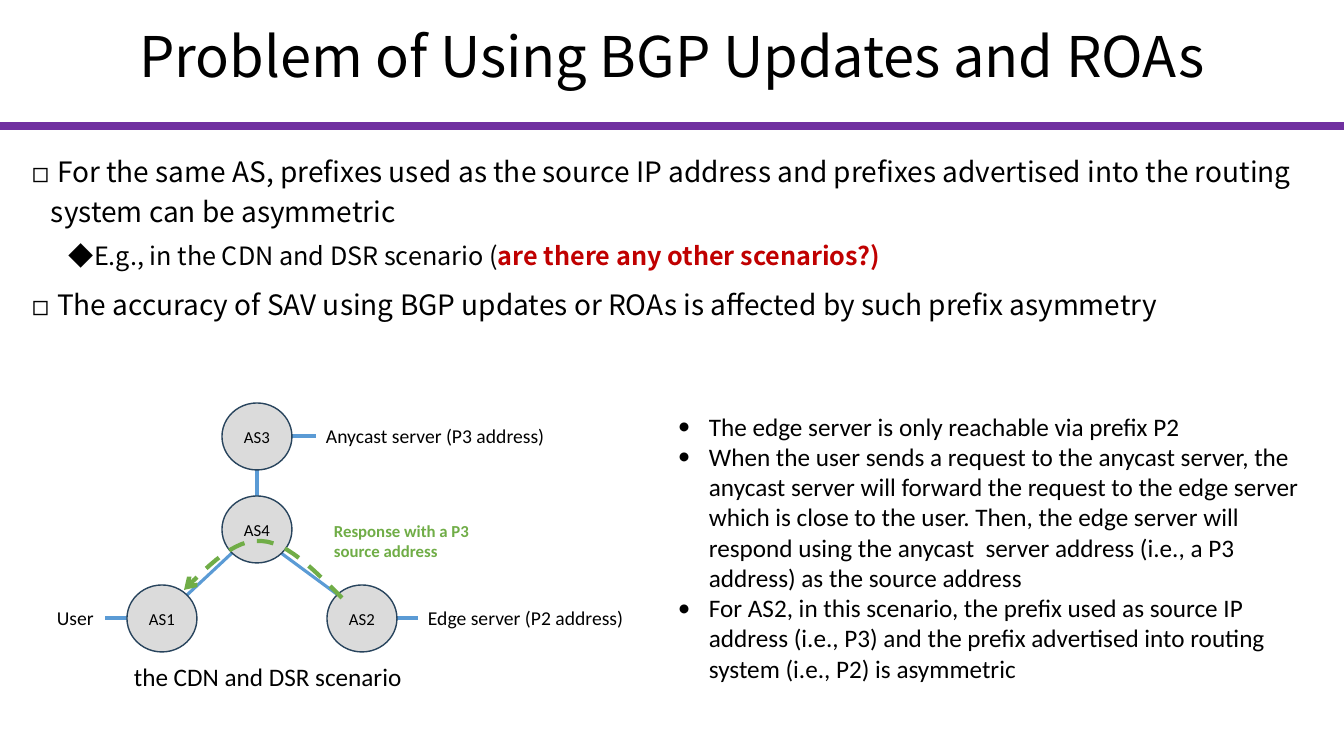
from lxml.etree import SubElement
from pptx import Presentation
from pptx.dml.color import RGBColor
from pptx.enum.dml import MSO_LINE
from pptx.enum.shapes import MSO_CONNECTOR, MSO_SHAPE
from pptx.enum.text import MSO_ANCHOR, MSO_AUTO_SIZE, PP_ALIGN
from pptx.oxml.ns import qn
from pptx.util import Pt

PX = 914400 / 100.8
BLACK = RGBColor(0x00, 0x00, 0x00)
PURPLE = RGBColor(0x70, 0x30, 0xA0)
RED = RGBColor(0xC0, 0x00, 0x00)
GREY = RGBColor(0xDB, 0xDB, 0xDB)
NAVY = RGBColor(0x28, 0x44, 0x5D)
BLUE = RGBColor(0x5B, 0x9B, 0xD5)
GREEN = RGBColor(0x70, 0xAD, 0x47)
HEADING_FONT = "Noto Sans CJK SC"
LABEL_FONT = "Calibri"


def px(*lengths):
    return [round(length * PX) for length in lengths]


def style_paragraph(para, size, font, color=BLACK, bold=False, bullet=None, margin=0, hang=0):
    """Format every run, and give the paragraph a hanging bullet if one is named."""
    for span in para.runs:
        span.font.size = Pt(size)
        span.font.name = font
        span.font.color.rgb = color
        span.font.bold = bold
    if bullet:
        properties = para._p.get_or_add_pPr()
        properties.set("marL", str(px(margin)[0]))
        properties.set("indent", str(px(-hang)[0]))
        SubElement(properties, qn("a:buFont")).set("typeface", font)
        SubElement(properties, qn("a:buChar")).set("char", bullet)


deck = Presentation()
deck.slide_width, deck.slide_height = px(1344, 756)
page = deck.slides.add_slide(deck.slide_layouts[5])

# Title
title = page.shapes.title
title.left, title.top, title.width, title.height = px(0, 0, 1344, 119)
title.text_frame.text = "Problem of Using BGP Updates and ROAs"
title.text_frame.vertical_anchor = MSO_ANCHOR.MIDDLE
para = title.text_frame.paragraphs[0]
para.alignment = PP_ALIGN.CENTER
para.line_spacing = 0.9
style_paragraph(para, 40, HEADING_FONT)

# Main points: text, emphasised ending, level, size, bullet, margin, space before
points = [
    (" For the same AS, prefixes used as the source IP address and prefixes advertised "
     "into the routing system can be asymmetric", "", 0, 20, "◻", 19, 7.5),
    ("E.g., in the CDN and DSR scenario (", "are there any other scenarios?)",
     1, 18, "◆", 56, 3.8),
    (" The accuracy of SAV using BGP updates or ROAs is affected by such prefix asymmetry",
     "", 0, 20, "◻", 19, 7.5),
]
frame = page.shapes.add_textbox(*px(22, 143, 1299, 200)).text_frame
frame.word_wrap = True
for index, (text, emphasis, level, size, bullet, margin, before) in enumerate(points):
    para = frame.paragraphs[0] if index == 0 else frame.add_paragraph()
    para.text = text
    para.level = level
    para.line_spacing = 1.2
    para.space_before = Pt(before)
    if emphasis:
        para.add_run().text = emphasis
    style_paragraph(para, size, HEADING_FONT, bullet=bullet, margin=margin, hang=19)
    if emphasis:
        para.runs[-1].font.bold = True
        para.runs[-1].font.color.rgb = RED

# Title rule and network links: start, end, colour, width
links = [
    (0, 126, 1344, 126, PURPLE, 6),
    (257, 470, 257, 496, BLUE, 2.25),
    (232, 553, 187, 595, BLUE, 2.25),
    (281, 553, 338, 595, BLUE, 2.25),
    (316, 436, 292, 436, BLUE, 2.25),
    (418, 618, 397, 618, BLUE, 2.25),
    (128, 618, 105, 618, BLUE, 2.25),
]
for *ends, color, width in links:
    link = page.shapes.add_connector(MSO_CONNECTOR.STRAIGHT, *px(*ends))
    link.line.color.rgb = color
    link.line.width = Pt(width)
    SubElement(link._element.spPr, qn("a:effectLst"))

# Autonomous systems
for name, left, top in [("AS3", 222, 403), ("AS1", 127, 585), ("AS4", 222, 496), ("AS2", 327, 585)]:
    node = page.shapes.add_shape(MSO_SHAPE.OVAL, *px(left, top, 70, 67))
    node.shadow.inherit = False
    node.fill.solid()
    node.fill.fore_color.rgb = GREY
    node.line.color.rgb = NAVY
    node.line.width = Pt(1)
    node.text_frame.text = name
    node.text_frame.word_wrap = False
    node.text_frame.vertical_anchor = MSO_ANCHOR.MIDDLE
    node.text_frame.paragraphs[0].alignment = PP_ALIGN.CENTER
    style_paragraph(node.text_frame.paragraphs[0], 12, LABEL_FONT)

# Labels and explanation: place, lines, size, colour, bold, wrap, bullet
explanation = [
    "The edge server is only reachable via prefix P2",
    "When the user sends a request to the anycast server, the anycast server will forward "
    "the request to the edge server which is close to the user. Then, the edge server will "
    "respond using the anycast  server address (i.e., a P3 address) as the source address",
    "For AS2, in this scenario, the prefix used as source IP address (i.e., P3) and the "
    "prefix advertised into routing system (i.e., P2) is asymmetric",
]
labels = [
    ((47, 601, 57, 34), ["User"], 14, BLACK, False, False, None),
    ((316, 419, 241, 34), ["Anycast server (P3 address)"], 14, BLACK, False, False, None),
    ((418, 601, 218, 34), ["Edge server (P2 address)"], 14, BLACK, False, False, None),
    ((124, 656, 289, 40), ["the CDN and DSR scenario"], 18, BLACK, False, True, None),
    ((668, 406, 657, 285), explanation, 18, BLACK, False, True, "•"),
    ((324, 516, 171, 50), ["Response with a P3 source address"], 12, GREEN, True, True, None),
]
for place, lines, size, color, bold, wrap, bullet in labels:
    frame = page.shapes.add_textbox(*px(*place)).text_frame
    frame.word_wrap = wrap
    frame.auto_size = MSO_AUTO_SIZE.SHAPE_TO_FIT_TEXT
    frame.text = "\n".join(lines)
    for para in frame.paragraphs:
        style_paragraph(para, size, LABEL_FONT, color, bold, bullet, margin=31, hang=31)

# Response route from AS2 to AS1, drawn along two Bezier curves
curves = [
    [(342, 598), (314, 570), (287, 542), (261, 541)],
    [(261, 541), (235, 539), (210, 564), (184, 590)],
]
STEPS = 12
route_points = []
for curve in curves:
    for step in range(1, STEPS + 1):
        t = step / STEPS
        weights = ((1 - t) ** 3, 3 * t * (1 - t) ** 2, 3 * t ** 2 * (1 - t), t ** 3)
        route_points.append(px(*(sum(w * v for w, v in zip(weights, axis)) for axis in zip(*curve))))
builder = page.shapes.build_freeform(*px(*curves[0][0]))
builder.add_line_segments(route_points, close=False)
route = builder.convert_to_shape()
route.shadow.inherit = False
route.fill.background()
route.line.color.rgb = GREEN
route.line.width = Pt(3)
route.line.dash_style = MSO_LINE.DASH
SubElement(route.line._get_or_add_ln(), qn("a:tailEnd")).set("type", "arrow")

deck.save("out.pptx")
